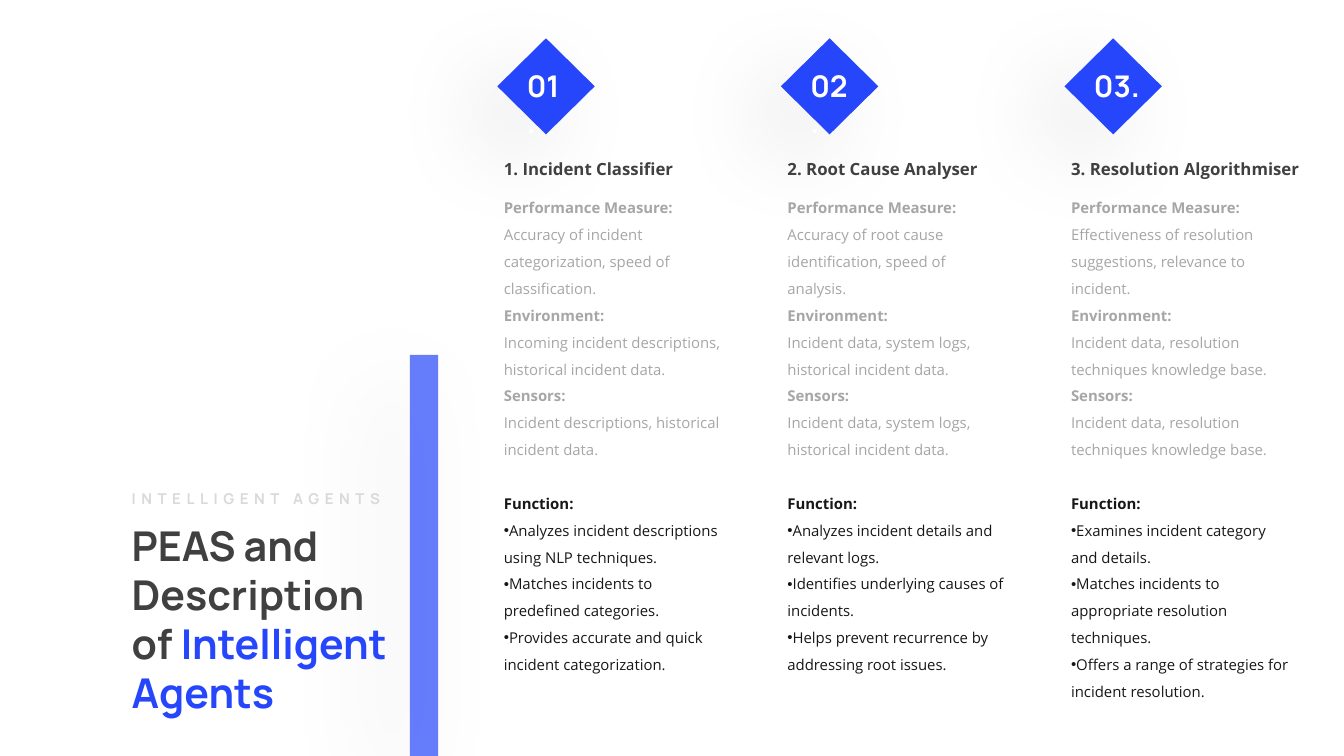
import dataclasses

import lxml.etree
import pptx
import pptx.dml.color
import pptx.enum.shapes
import pptx.enum.text
import pptx.oxml.ns
import pptx.util

SHAPES = pptx.enum.shapes.MSO_SHAPE
qn = pptx.oxml.ns.qn


@dataclasses.dataclass(frozen=True)
class Theme:
    """Colours, fonts and type sizes of the slide."""
    accent: str = "2546FB"
    dark: str = "404040"
    ink: str = "181717"
    muted: str = "A6A6A6"
    pale: str = "D9D9D9"
    white: str = "FFFFFF"
    display: str = "Manrope"
    reading: str = "Open Sans"
    title: int = 44
    number: int = 32
    heading: int = 18
    body: int = 16


THEME = Theme()
COLUMNS, ROWS = 20, 11.25
CELL = pptx.util.Inches(1)
AGENT_LEFT, AGENT_STEP = 7.4, 4.22

AGENTS = [
    ("Incident Classifier",
     [("Performance Measure:", "Accuracy of incident categorization, speed of classification."),
      ("Environment:", "Incoming incident descriptions, historical incident data."),
      ("Sensors:", "Incident descriptions, historical incident data.")],
     ["Analyzes incident descriptions using NLP techniques.",
      "Matches incidents to predefined categories.",
      "Provides accurate and quick incident categorization."]),
    ("Root Cause Analyser",
     [("Performance Measure:", "Accuracy of root cause identification, speed of analysis."),
      ("Environment:", "Incident data, system logs, historical incident data."),
      ("Sensors:", "Incident data, system logs, historical incident data.")],
     ["Analyzes incident details and relevant logs.",
      "Identifies underlying causes of incidents.",
      "Helps prevent recurrence by addressing root issues."]),
    ("Resolution Algorithmiser",
     [("Performance Measure:", "Effectiveness of resolution suggestions, relevance to incident."),
      ("Environment:", "Incident data, resolution techniques knowledge base."),
      ("Sensors:", "Incident data, resolution techniques knowledge base.")],
     ["Examines incident category and details.",
      "Matches incidents to appropriate resolution techniques.",
      "Offers a range of strategies for incident resolution."]),
]


def grid(*cells):
    """Turn grid cells into slide lengths."""
    return [round(cell * CELL) for cell in cells]


def write(paragraph, text, *, size, font, color, bold=True, tracking=0,
          line=None, before=0, bullet=False):
    """Add formatted text to a paragraph."""
    run = paragraph.add_run()
    run.text = text
    run.font.size = pptx.util.Pt(size)
    run.font.name = font
    run.font.bold = bold
    run.font.color.rgb = pptx.dml.color.RGBColor.from_string(color)
    if tracking:
        run.font._element.set("spc", str(tracking * 100))
    if line:
        paragraph.line_spacing = line
    if before:
        paragraph.space_before = pptx.util.Pt(before)
    if bullet:
        settings = paragraph._p.get_or_add_pPr()
        settings.set("marL", "0")
        settings.set("indent", "0")
        lxml.etree.SubElement(settings, qn("a:buFont")).set("typeface", "Arial")
        lxml.etree.SubElement(settings, qn("a:buChar")).set("char", "•")


def text_block(parent, place, paragraphs, wrap=False, **style):
    """Add a text box; each paragraph is a list of (text, format) pairs."""
    frame = parent.add_textbox(*grid(*place)).text_frame
    frame.word_wrap = wrap
    frame.auto_size = pptx.enum.text.MSO_AUTO_SIZE.SHAPE_TO_FIT_TEXT
    for index, pieces in enumerate(paragraphs):
        paragraph = frame.add_paragraph() if index else frame.paragraphs[0]
        for text, changes in pieces:
            write(paragraph, text, **{**style, **changes})


def accent_shape(parent, kind, place, opacity=100):
    """Add an accent-coloured shape with a wide, soft shadow."""
    accent = parent.add_shape(kind, *grid(*place))
    accent.fill.solid()
    accent.fill.fore_color.rgb = pptx.dml.color.RGBColor.from_string(THEME.accent)
    accent.line.fill.background()
    accent.shadow.inherit = False
    properties = accent._element.spPr
    if opacity < 100:
        tint = properties.find(qn("a:solidFill"))[0]
        lxml.etree.SubElement(tint, qn("a:alpha")).set("val", str(opacity * 1000))
    shadow = lxml.etree.SubElement(properties.find(qn("a:effectLst")), qn("a:outerShdw"))
    for key, value in (("blurRad", pptx.util.Pt(100)), ("dist", pptx.util.Pt(45)),
                       ("dir", 140 * 60000), ("algn", "ctr"), ("rotWithShape", 0)):
        shadow.set(key, str(int(value)) if key != "algn" else value)
    shade = lxml.etree.SubElement(shadow, qn("a:srgbClr"))
    shade.set("val", "000000")
    lxml.etree.SubElement(shade, qn("a:alpha")).set("val", "10000")


def title_area(shapes):
    """Draw the accent bar, the title and the line above it."""
    accent_shape(shapes, SHAPES.RECTANGLE, (6.1, 5.28, 0.42, ROWS - 5.28), opacity=70)
    blue = {"color": THEME.accent}
    text_block(shapes, (1.86, 7.69, 4.19, 3.06),
               [[("PEAS and", {})], [("Description", {})],
                [("of ", {}), ("Intelligent", blue)], [("Agents", blue)]],
               size=THEME.title, font=THEME.display, color=THEME.dark)
    text_block(shapes, (1.86, 7.23, 4.03, 0.37), [[("INTELLIGENT AGENTS", {})]],
               size=THEME.body, font=THEME.display, color=THEME.pale, tracking=6)


def agent_column(shapes, order, name, measures, functions):
    """Draw one agent: numbered diamond, heading and description."""
    left = AGENT_LEFT + order * AGENT_STEP
    agent = shapes.add_group_shape().shapes
    accent_shape(agent, SHAPES.DIAMOND, (left, 0.57, 1.45, 1.43))
    details = []
    for label, answer in measures:
        details += [[(label, {})], [(answer, {"bold": False})]]
    details.append([("Function:", {"color": THEME.ink, "before": THEME.body * 1.8})])
    details += [[(item, {"color": THEME.ink, "bold": False, "bullet": True})]
                for item in functions]
    text_block(agent, (left, 2.78, 3.46, 7.33), details, wrap=True, line=1.5,
               size=THEME.body, font=THEME.reading, color=THEME.muted)
    text_block(agent, (left, 2.31, (2.75, 3.06, 3.63)[order], 0.4),
               [[(f"{order + 1}. {name}", {})]],
               size=THEME.heading, font=THEME.reading, color=THEME.dark)
    text_block(agent, (left + 0.34, 0.96, (0.79, 0.88, 0.89)[order], 0.64),
               [[(f"{order + 1:02}.", {})]],
               size=THEME.number, font=THEME.display, color=THEME.white)


def main():
    """Build the slide and save it."""
    deck = pptx.Presentation()
    deck.slide_width, deck.slide_height = grid(COLUMNS, ROWS)
    slide = deck.slides.add_slide(deck.slide_layouts[6])
    title_area(slide.shapes)
    for order, agent in enumerate(AGENTS):
        agent_column(slide.shapes, order, *agent)
    deck.save("out.pptx")


main()
